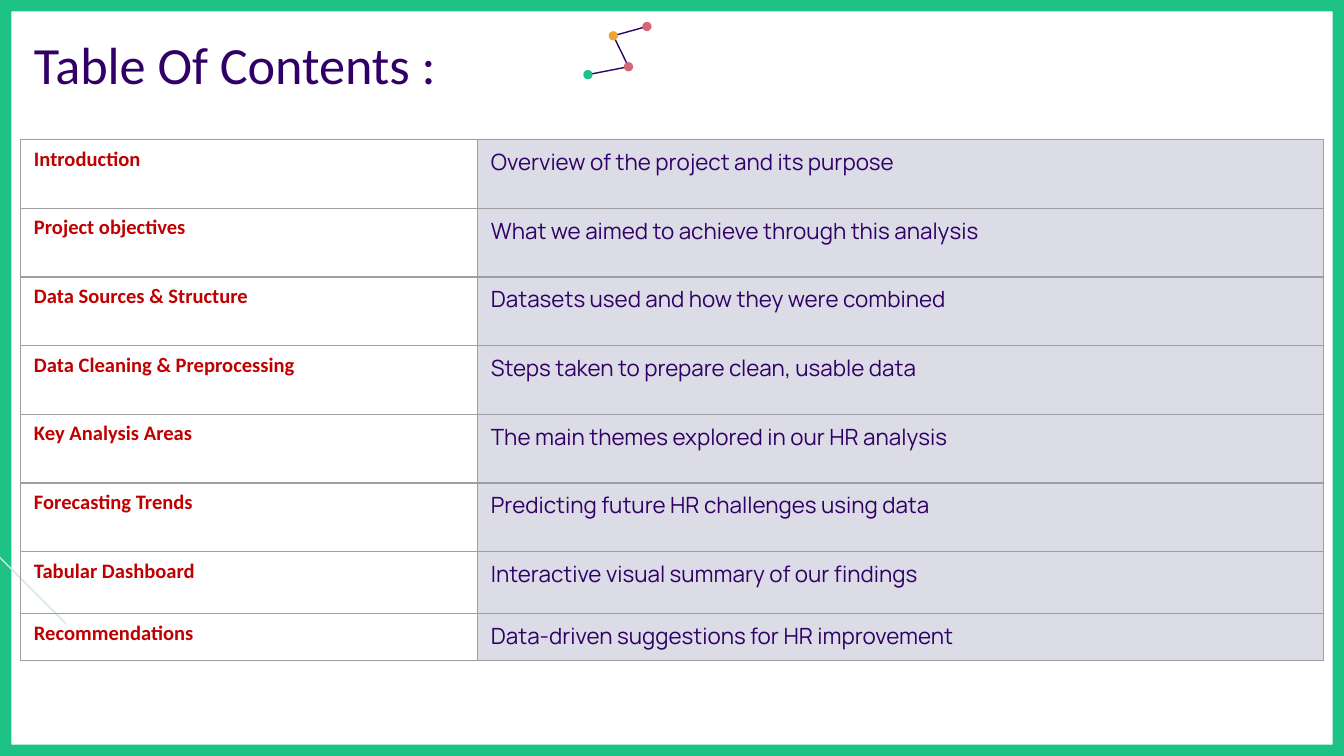
from pptx import Presentation
from pptx.dml.color import RGBColor
from pptx.enum.shapes import MSO_CONNECTOR, MSO_SHAPE
from pptx.enum.text import MSO_ANCHOR, MSO_AUTO_SIZE, PP_ALIGN
from pptx.oxml import parse_xml
from pptx.oxml.ns import nsdecls
from pptx.util import Pt
from lxml.etree import SubElement

THEME = {
    "green": "1DC285", "purple": "300067", "red": "C00000", "panel": "DCDCE6",
    "rose": "D56574", "amber": "EAA62C", "pale": "D0E2E7", "grid": "9E9E9E",
    "heading": "Calibri", "body": "Manrope",
    "title_size": 28, "topic_size": 11, "summary_size": 12, "line": 0.75,
}

CONTENTS = [
    ("Introduction", "Overview of the project and its purpose"),
    ("Project objectives", "What we aimed to achieve through this analysis"),
    ("Data Sources & Structure", "Datasets used and how they were combined"),
    ("Data Cleaning & Preprocessing", "Steps taken to prepare clean, usable data"),
    ("Key Analysis Areas", "The main themes explored in our HR analysis"),
    ("Forecasting Trends", "Predicting future HR challenges using data"),
    ("Tabular Dashboard", "Interactive visual summary of our findings"),
    ("Recommendations", "Data-driven suggestions for HR improvement"),
]


def add_text(paragraph, text, font, size, color, bold=False):
    paragraph.alignment = PP_ALIGN.LEFT
    run = paragraph.add_run()
    run.text = text
    run.font.name = THEME[font]
    run.font.size = Pt(THEME[size])
    run.font.bold = bold
    run.font.color.rgb = RGBColor.from_string(THEME[color])


def add_filled(shapes, preset, color, left, top, width, height):
    shape = shapes.add_shape(preset, Pt(left), Pt(top), Pt(width), Pt(height))
    shape.shadow.inherit = False
    shape.fill.solid()
    shape.fill.fore_color.rgb = RGBColor.from_string(THEME[color])
    shape.line.fill.background()
    return shape


prs = Presentation()
prs.slide_width, prs.slide_height = Pt(720), Pt(405)
slide = prs.slides.add_slide(prs.slide_layouts[5])

# Border frame and the panel behind the summaries
border = add_filled(slide.shapes, MSO_SHAPE.FRAME, "green", 0, 0, 720, 405)
border.adjustments[0] = 0.015
add_filled(slide.shapes, MSO_SHAPE.RECTANGLE, "panel", 256, 74.5, 453, 279.5)

# Title
title = slide.shapes.title
title.left, title.top, title.width, title.height = Pt(11), Pt(10), Pt(607), Pt(45.5)
title_frame = title.text_frame
title_frame.auto_size = MSO_AUTO_SIZE.NONE
title_frame.word_wrap = True
title_frame.vertical_anchor = MSO_ANCHOR.TOP
title_frame.margin_left = title_frame.margin_right = Pt(7.2)
title_frame.margin_top = title_frame.margin_bottom = Pt(7.2)
add_text(title_frame.paragraphs[0], "Table Of Contents :", "heading", "title_size", "purple")

# Constellation: a zigzag with a dot on each point
stars = [(346.6, 14.2, "rose"), (328.6, 19.2, "amber"),
         (336.7, 35.8, "rose"), (315, 40, "green")]
points = [(Pt(x), Pt(y)) for x, y, _ in stars]
constellation = slide.shapes.add_group_shape()
builder = constellation.shapes.build_freeform(*points[0])
builder.add_line_segments(points[1:], close=False)
zigzag = builder.convert_to_shape()
zigzag.shadow.inherit = False
zigzag.fill.background()
zigzag.line.color.rgb = RGBColor.from_string(THEME["purple"])
zigzag.line.width = Pt(THEME["line"])
DOT = 5
for x, y, color in stars:
    add_filled(constellation.shapes, MSO_SHAPE.OVAL, color, x - DOT / 2, y - DOT / 2, DOT, DOT)

# Diagonal accent running in from the left edge
accent = slide.shapes.add_connector(MSO_CONNECTOR.STRAIGHT, Pt(-36.8), Pt(262), Pt(35.2), Pt(334))
accent.line.color.rgb = RGBColor.from_string(THEME["pale"])
accent.line.width = Pt(THEME["line"])
SubElement(accent.element.spPr, "{http://schemas.openxmlformats.org/drawingml/2006/main}effectLst")

# Contents table
row_heights = [36.8] * 6 + [33.2, 24.9]
contents = slide.shapes.add_table(len(CONTENTS), 2, Pt(11), Pt(74.8), Pt(698),
                                  Pt(sum(row_heights))).table
contents.first_row = contents.horz_banding = False
contents.columns[0].width, contents.columns[1].width = Pt(244.8), Pt(453.2)
styles = [("heading", "topic_size", "red", True), ("body", "summary_size", "purple", False)]
for row, height, texts in zip(contents.rows, row_heights, CONTENTS):
    row.height = Pt(height)
    for cell, text, style in zip(row.cells, texts, styles):
        add_text(cell.text_frame.paragraphs[0], text, *style)
        cell_properties = cell._tc.get_or_add_tcPr()
        for side in ("lnL", "lnR", "lnT", "lnB"):
            cell_properties.append(parse_xml(
                f'<a:{side} {nsdecls("a")} w="{Pt(THEME["line"])}"><a:solidFill>'
                f'<a:srgbClr val="{THEME["grid"]}"/></a:solidFill></a:{side}>'))
        cell.fill.background()

prs.save("out.pptx")
